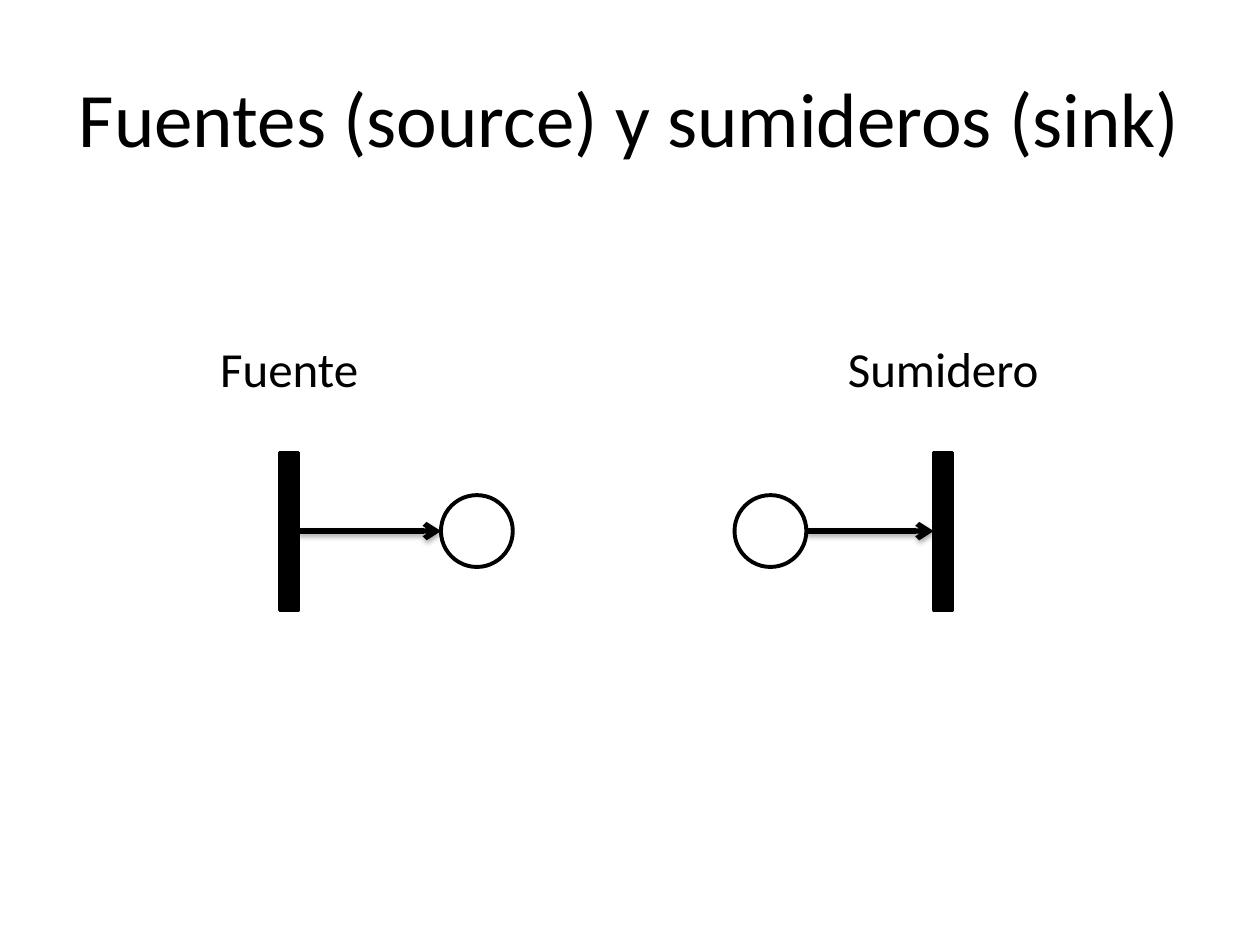
from dataclasses import dataclass

from lxml import etree
from pptx import Presentation
from pptx import util as u
from pptx.dml.color import RGBColor
from pptx.enum import shapes, text
from pptx.oxml import parse_xml
from pptx.oxml.ns import nsdecls, qn

BLACK = RGBColor(0, 0, 0)
WHITE = RGBColor(255, 255, 255)
FONT = "Calibri"

AXIS = 4.215
BAR_WIDTH, BAR_HEIGHT = 0.15, 1.25
PLACE_SIZE = 0.57
LABEL_TOP, LABEL_HEIGHT = 2.64, 0.57


@dataclass(frozen=True)
class Net:
    label: str
    label_left: float
    label_width: float
    bar_left: float
    place_left: float


NETS = [
    Net("Sumidero", 6.62, 1.73, 7.41, 5.83),
    Net("Fuente", 1.64, 1.31, 2.22, 3.5),
]


def write_text(shape, content: str, *, size: float, wrap: bool = True,
               anchor=text.MSO_ANCHOR.TOP) -> None:
    frame = shape.text_frame
    frame.word_wrap = wrap
    frame.vertical_anchor = anchor
    paragraph = frame.paragraphs[0]
    paragraph.alignment = text.PP_ALIGN.CENTER
    run = paragraph.add_run()
    run.text = content
    run.font.name = FONT
    run.font.size = u.Pt(size)
    run.font.color.rgb = BLACK


def add_node(slide, kind, left: float, width: float, height: float,
             fill: RGBColor, line_width: float):
    shape = slide.shapes.add_shape(
        kind, u.Inches(left), u.Inches(AXIS - height / 2),
        u.Inches(width), u.Inches(height))
    shape.shadow.inherit = False
    shape.fill.solid()
    shape.fill.fore_color.rgb = fill
    shape.line.color.rgb = BLACK
    shape.line.width = u.Pt(line_width)
    return shape


def add_arrow(slide, start: float, end: float):
    arrow = slide.shapes.add_connector(
        shapes.MSO_CONNECTOR.STRAIGHT, u.Inches(start), u.Inches(AXIS),
        u.Inches(end), u.Inches(AXIS))
    arrow.line.color.rgb = BLACK
    arrow.line.width = u.Pt(3)
    line = arrow.line._get_or_add_ln()
    etree.SubElement(line, qn("a:tailEnd"), type="arrow")
    arrow._element.spPr.append(parse_xml(
        f'<a:effectLst {nsdecls("a")}>'
        f'<a:outerShdw blurRad="{u.Pt(3.1)}" dist="{u.Pt(1.8)}" dir="5400000" rotWithShape="0">'
        f'<a:srgbClr val="{BLACK}"><a:alpha val="35000"/></a:srgbClr>'
        '</a:outerShdw></a:effectLst>'))
    return arrow


def draw_net(slide, net: Net) -> None:
    bar = add_node(slide, shapes.MSO_SHAPE.RECTANGLE, net.bar_left,
                   BAR_WIDTH, BAR_HEIGHT, BLACK, 2)
    if net.bar_left < net.place_left:
        arrow = add_arrow(slide, net.bar_left + BAR_WIDTH, net.place_left)
        arrow.begin_connect(bar, 3)
    else:
        arrow = add_arrow(slide, net.place_left + PLACE_SIZE, net.bar_left)
        arrow.end_connect(bar, 1)
    add_node(slide, shapes.MSO_SHAPE.OVAL, net.place_left,
             PLACE_SIZE, PLACE_SIZE, WHITE, 2.25)


def draw_label(slide, net: Net) -> None:
    box = slide.shapes.add_textbox(
        u.Inches(net.label_left), u.Inches(LABEL_TOP),
        u.Inches(net.label_width), u.Inches(LABEL_HEIGHT))
    write_text(box, net.label, size=28, wrap=False)
    box.text_frame.auto_size = text.MSO_AUTO_SIZE.SHAPE_TO_FIT_TEXT


def main() -> None:
    presentation = Presentation()
    presentation.slide_width = u.Inches(10)
    presentation.slide_height = u.Inches(7.5)
    slide = presentation.slides.add_slide(presentation.slide_layouts[5])

    title = slide.shapes.title
    title.left, title.top = u.Inches(0.5), u.Inches(0.3)
    title.width, title.height = u.Inches(9), u.Inches(1.25)
    write_text(title, "Fuentes (source) y sumideros (sink)", size=44,
               anchor=text.MSO_ANCHOR.MIDDLE)

    for net in NETS:
        draw_net(slide, net)
    for net in NETS:
        draw_label(slide, net)

    presentation.save("out.pptx")


if __name__ == "__main__":
    main()
